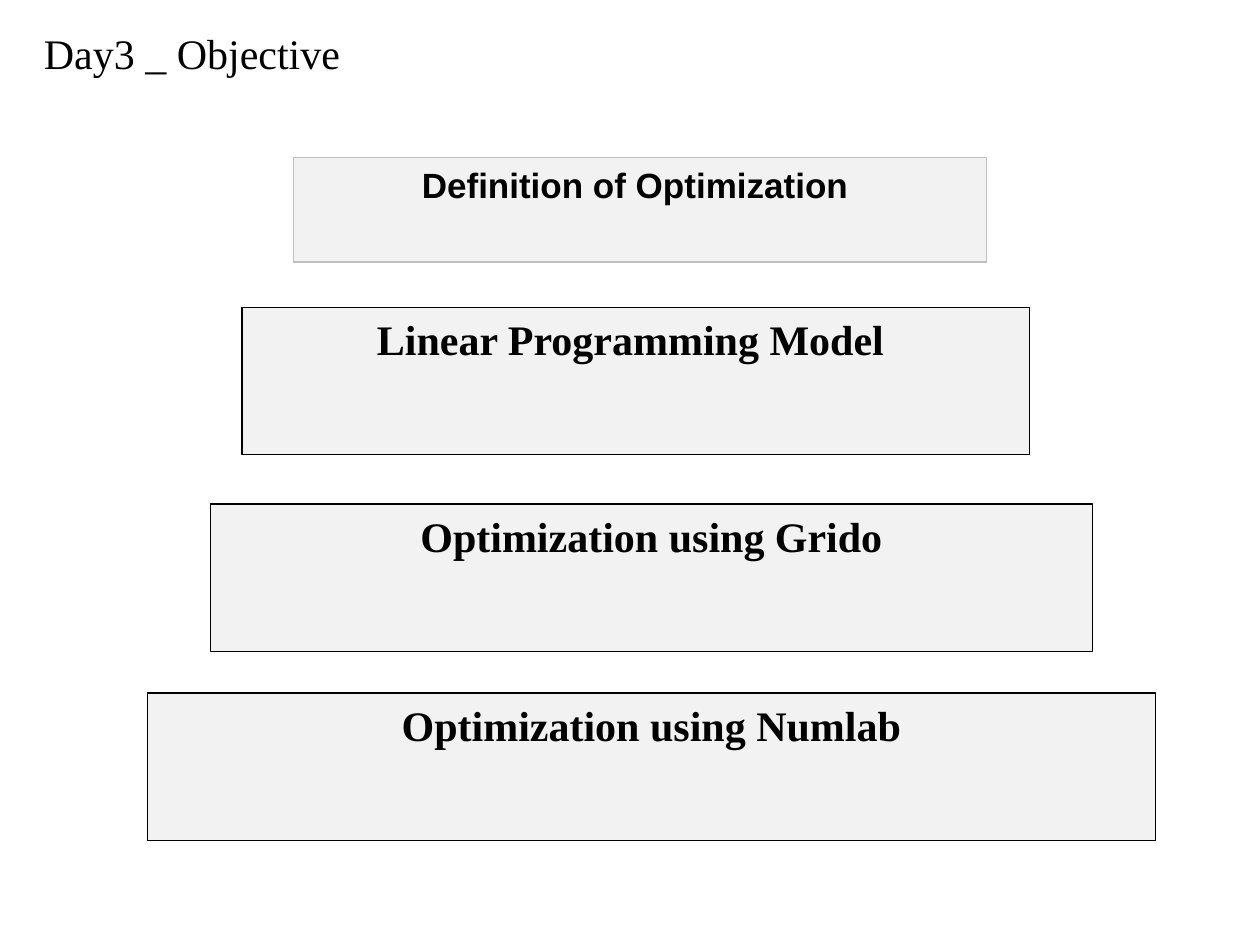
from pptx import Presentation
from pptx.dml.color import RGBColor
from pptx.enum.shapes import MSO_SHAPE
from pptx.enum.text import MSO_ANCHOR, MSO_AUTO_SIZE, PP_ALIGN
from pptx.util import Inches, Pt

RECTANGLE = MSO_SHAPE.RECTANGLE
TOP = MSO_ANCHOR.TOP
LEFT, CENTER = PP_ALIGN.LEFT, PP_ALIGN.CENTER
FIT_SHAPE = MSO_AUTO_SIZE.SHAPE_TO_FIT_TEXT

BLACK, PALE_GRAY, MID_GRAY = "000000", "F2F2F2", "BFBFBF"
SERIF, SANS = "Times New Roman", "Arial"

# Content: heading, then the steps from top to bottom
HEADING = "Day3 _ Objective"
HEADING_BOX = (0.25, 0.17, 3.08, 0.5)
# text, (left, top, width, height), outline, font, size
STEPS = [
    ("Definition of Optimization ", (2.33, 1.25, 5.5, 0.83), MID_GRAY, SANS, 20),
    ("Linear Programming Model ", (1.92, 2.44, 6.25, 1.17), BLACK, SERIF, 24),
    ("Optimization using Grido", (1.67, 4, 7, 1.17), BLACK, SERIF, 24),
    ("Optimization using Numlab", (1.17, 5.5, 8, 1.17), BLACK, SERIF, 24),
]


def color(hex_string):
    return RGBColor.from_string(hex_string)


def write(shape, text, font_name, size, bold, alignment):
    text_frame = shape.text_frame
    text_frame.text = text
    text_frame.word_wrap = alignment == LEFT
    text_frame.vertical_anchor = TOP
    paragraph = text_frame.paragraphs[0]
    paragraph.alignment = alignment
    font = paragraph.runs[0].font
    font.name, font.size, font.bold = font_name, Pt(size), bold
    font.color.rgb = color(BLACK)


def add_step(slide, text, box, outline, font_name, size):
    shape = slide.shapes.add_shape(RECTANGLE, *map(Inches, box))
    shape.shadow.inherit = False
    shape.fill.solid()
    shape.fill.fore_color.rgb = color(PALE_GRAY)
    shape.line.color.rgb = color(outline)
    shape.line.width = Pt(0.75)
    write(shape, text, font_name, size, True, CENTER)


presentation = Presentation()
presentation.slide_width, presentation.slide_height = Inches(10), Inches(7.5)
slide = presentation.slides.add_slide(presentation.slide_layouts[6])

# Heading
heading = slide.shapes.add_textbox(*map(Inches, HEADING_BOX))
write(heading, HEADING, SERIF, 24, False, LEFT)
heading.text_frame.auto_size = FIT_SHAPE

# Widening stack of steps
for step in STEPS:
    add_step(slide, *step)

presentation.save("out.pptx")
